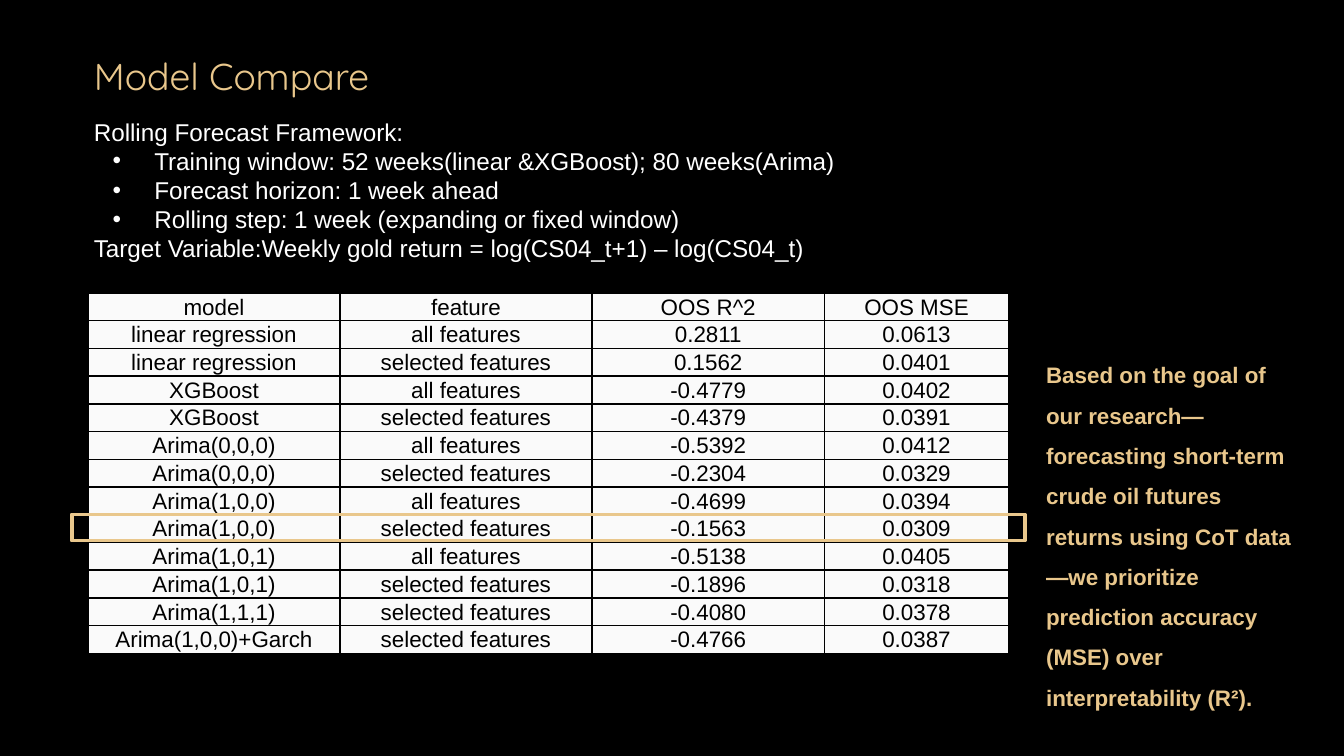
import pptx
import pptx.dml.color
import pptx.enum.shapes
import pptx.enum.text
import pptx.oxml.ns
import pptx.util
from lxml import etree

RGBColor = pptx.dml.color.RGBColor
BLACK = RGBColor(0x00, 0x00, 0x00)
WHITE = RGBColor(0xFF, 0xFF, 0xFF)
PALE = RGBColor(0xFA, 0xFA, 0xFA)
GOLD = RGBColor(0xE9, 0xC7, 0x8C)

# The slide is a square grid of 100 columns by 56.25 rows.
GRID = pptx.util.Inches(0.1)


def grid(*counts):
    """Turn counts of grid columns or rows into lengths."""
    return [pptx.util.Emu(round(count * GRID)) for count in counts]


def write(frame, *texts, size, color, font="Arial", bold=None, align=None,
          spacing=None, bullets=()):
    """Fill a text frame; bullets holds the indexes of bulleted paragraphs."""
    frame.word_wrap = True
    for index, text in enumerate(texts):
        paragraph = frame.paragraphs[0] if index == 0 else frame.add_paragraph()
        if index in bullets:
            properties = paragraph._p.get_or_add_pPr()
            margin, hanging = grid(4.5, -3.1)
            properties.set("marL", str(margin))
            properties.set("indent", str(hanging))
            bullet_color = etree.SubElement(properties, pptx.oxml.ns.qn("a:buClr"))
            etree.SubElement(bullet_color, pptx.oxml.ns.qn("a:srgbClr")).set("val", str(color))
            etree.SubElement(properties, pptx.oxml.ns.qn("a:buFont")).set("typeface", font)
            etree.SubElement(properties, pptx.oxml.ns.qn("a:buChar")).set("char", "•")
        paragraph.alignment = align
        paragraph.line_spacing = spacing
        run = paragraph.add_run()
        run.text = text
        run.font.name = font
        run.font.size = pptx.util.Pt(size)
        run.font.bold = bold
        run.font.color.rgb = color


presentation = pptx.Presentation()
presentation.slide_width, presentation.slide_height = grid(100, 56.25)
slide = presentation.slides.add_slide(presentation.slide_layouts[6])
slide.background.fill.solid()
slide.background.fill.fore_color.rgb = BLACK

# Title and framework
title = slide.shapes.add_textbox(*grid(6, 3.94, 84.9, 5.8)).text_frame
title.margin_top, title.margin_bottom = grid(0, 1)
write(title, "Model Compare", size=20, color=GOLD, font="Quicksand")

framework = slide.shapes.add_textbox(*grid(6, 7.7, 88, 13.3)).text_frame
framework.margin_top, framework.margin_bottom = grid(1, 1)
write(
    framework,
    "Rolling Forecast Framework:",
    "Training window: 52 weeks(linear &XGBoost); 80 weeks(Arima)",
    "Forecast horizon: 1 week ahead",
    "Rolling step: 1 week (expanding or fixed window)",
    "Target Variable:Weekly gold return = log(CS04_t+1) – log(CS04_t)",
    size=13, color=WHITE, bullets=(1, 2, 3),
)

# Conclusion beside the table
conclusion = slide.shapes.add_textbox(*grid(76.85, 25.4, 21.1, 22)).text_frame
conclusion.auto_size = pptx.enum.text.MSO_AUTO_SIZE.SHAPE_TO_FIT_TEXT
write(
    conclusion,
    "Based on the goal of our research—forecasting short-term crude oil "
    "futures returns using CoT data—we prioritize prediction accuracy (MSE) "
    "over interpretability (R²).",
    size=12, color=GOLD, bold=True, spacing=1.5,
)

# Model comparison table
ALL, SELECTED = "all features", "selected features"
results = [
    ("model", "feature", "OOS R^2", "OOS MSE"),
    ("linear regression", ALL, "0.2811", "0.0613"),
    ("linear regression", SELECTED, "0.1562", "0.0401"),
    ("XGBoost", ALL, "-0.4779", "0.0402"),
    ("XGBoost", SELECTED, "-0.4379", "0.0391"),
    ("Arima(0,0,0)", ALL, "-0.5392", "0.0412"),
    ("Arima(0,0,0)", SELECTED, "-0.2304", "0.0329"),
    ("Arima(1,0,0)", ALL, "-0.4699", "0.0394"),
    ("Arima(1,0,0)", SELECTED, "-0.1563", "0.0309"),
    ("Arima(1,0,1)", ALL, "-0.5138", "0.0405"),
    ("Arima(1,0,1)", SELECTED, "-0.1896", "0.0318"),
    ("Arima(1,1,1)", SELECTED, "-0.4080", "0.0378"),
    ("Arima(1,0,0)+Garch", SELECTED, "-0.4766", "0.0387"),
]
best_row = 8
column_widths = (18.75, 18.75, 17.3, 13.7)
table_left, table_top, row_height = 6.55, 21.8, 2.06
table_width = sum(column_widths)

table = slide.shapes.add_table(
    len(results), len(column_widths),
    *grid(table_left, table_top, table_width, row_height * len(results)),
).table
for column, width in zip(table.columns, grid(*column_widths)):
    column.width = width
for row_index, values in enumerate(results):
    table.rows[row_index].height = grid(row_height)[0]
    for column_index, value in enumerate(values):
        cell = table.cell(row_index, column_index)
        cell.vertical_anchor = pptx.enum.text.MSO_ANCHOR.MIDDLE
        cell.margin_left, cell.margin_right, cell.margin_top, cell.margin_bottom = grid(
            0.06, 0.06, 0.06, 0)
        write(cell.text_frame, value, size=12, color=BLACK, bold=False,
              align=pptx.enum.text.PP_ALIGN.CENTER)
        properties = cell._tc.get_or_add_tcPr()
        for side in ("lnL", "lnR", "lnT", "lnB"):
            border = etree.SubElement(properties, pptx.oxml.ns.qn(f"a:{side}"))
            border.set("w", str(pptx.util.Pt(1)))
            line_fill = etree.SubElement(border, pptx.oxml.ns.qn("a:solidFill"))
            line_color = etree.SubElement(line_fill, pptx.oxml.ns.qn("a:srgbClr"))
            line_color.set("val", str(BLACK))
        cell.fill.solid()
        cell.fill.fore_color.rgb = PALE

# Frame around the best model
overhang = 1.2
highlight = slide.shapes.add_shape(
    pptx.enum.shapes.MSO_SHAPE.RECTANGLE,
    *grid(table_left - overhang, table_top + best_row * row_height,
          table_width + 2 * overhang, 1.95),
)
highlight.shadow.inherit = False
highlight.fill.background()
highlight.line.color.rgb = GOLD
highlight.line.width = pptx.util.Pt(2)

presentation.save("out.pptx")
